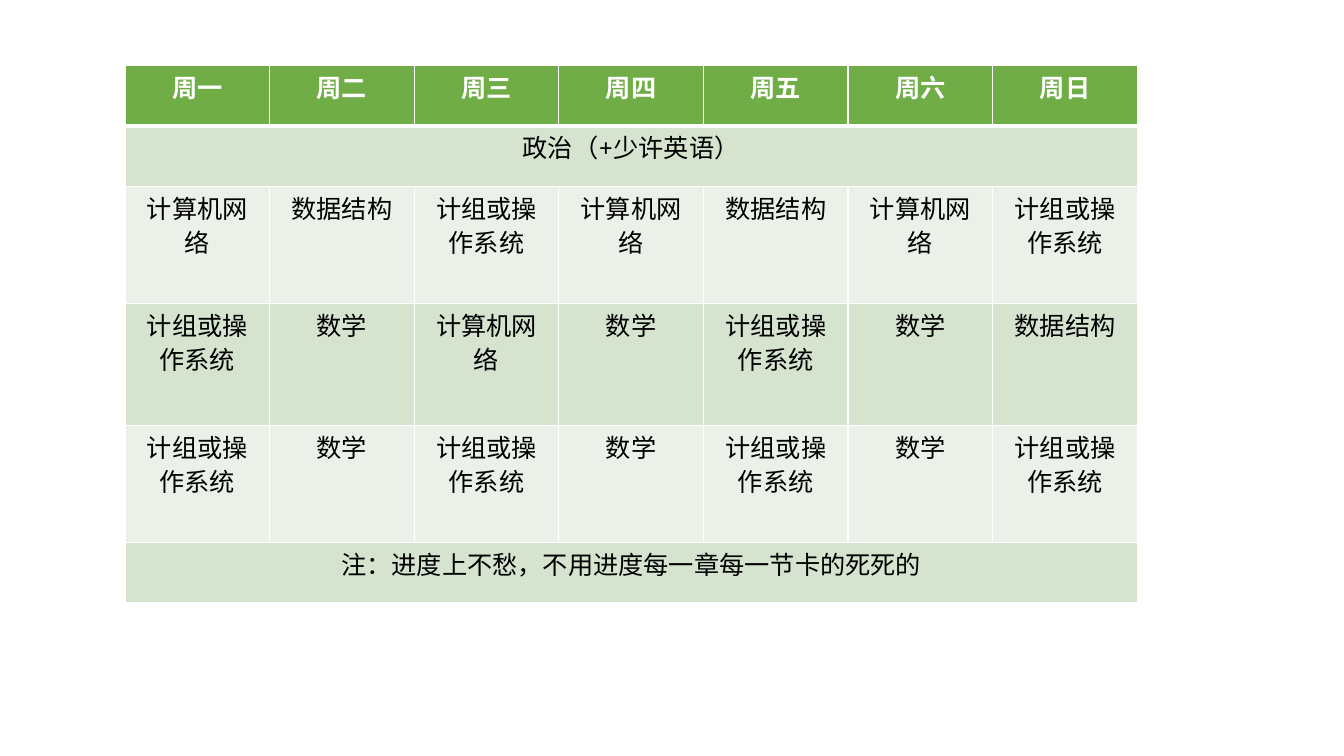
import lxml.etree
import pptx
import pptx.dml.color
import pptx.enum.text
import pptx.oxml.ns
import pptx.util

Inches = pptx.util.Inches

DAYS = ["周一", "周二", "周三", "周四", "周五", "周六", "周日"]
NETWORK, STRUCTURES, SYSTEMS, MATHS = "计算机网络", "数据结构", "计组或操作系统", "数学"
SCHEDULE = [
    DAYS,
    ["政治（+少许英语）"],
    [NETWORK, STRUCTURES, SYSTEMS, NETWORK, STRUCTURES, NETWORK, SYSTEMS],
    [SYSTEMS, MATHS, NETWORK, MATHS, SYSTEMS, MATHS, STRUCTURES],
    [SYSTEMS, MATHS] * 3 + [SYSTEMS],
    ["注：进度上不愁，不用进度每一章每一节卡的死死的"],
]
ROW_HEIGHTS = [0.6, 0.6, 1.16, 1.21, 1.16, 0.6]


def color(value):
    return pptx.dml.color.RGBColor.from_string(value)


class TimetableSlide:
    """Holds the timetable style and the slide being built."""

    font = "Noto Sans Mono"
    size = 18
    header_fill = "70AD47"
    band_fills = ["EBF1E9", "D5E3CF"]
    border_color = "FFFFFF"

    def __init__(self, deck):
        self.page = deck.slides.add_slide(deck.slide_layouts[6])

    def add_text(self, cell, text, text_color, bold):
        para = cell.text_frame.paragraphs[0]
        para.alignment = pptx.enum.text.PP_ALIGN.CENTER
        span = para.add_run()
        span.text = text
        span.font.name = self.font
        span.font.size = pptx.util.Pt(self.size)
        span.font.bold = bold
        span.font.color.rgb = color(text_color)
        east_asian = lxml.etree.SubElement(
            span.font._element, pptx.oxml.ns.qn("a:ea"))
        east_asian.set("typeface", self.font)

    def add_borders(self, cell, top, bottom):
        properties = cell._tc.get_or_add_tcPr()
        for side, width in zip("LRTB", (1, 1, top, bottom)):
            line = lxml.etree.SubElement(
                properties, pptx.oxml.ns.qn("a:ln" + side))
            line.set("w", str(pptx.util.Pt(width)))
            fill = lxml.etree.SubElement(line, pptx.oxml.ns.qn("a:solidFill"))
            shade = lxml.etree.SubElement(fill, pptx.oxml.ns.qn("a:srgbClr"))
            shade.set("val", self.border_color)

    def add_table(self, left, top, width, heights, rows):
        columns = len(rows[0])
        frame = self.page.shapes.add_table(
            len(rows), columns, Inches(left), Inches(top),
            Inches(width), Inches(sum(heights)))
        table = frame.table
        for column in table.columns:
            column.width = Inches(width / columns)
        for index, (height, texts) in enumerate(zip(heights, rows)):
            table.rows[index].height = Inches(height)
            header = index == 0
            for number in range(columns):
                cell = table.cell(index, number)
                self.add_borders(cell, 3 if index == 1 else 1, 3 if header else 1)
                cell.fill.solid()
                cell.fill.fore_color.rgb = color(
                    self.header_fill if header else self.band_fills[index % 2])
            if len(texts) == 1:
                table.cell(index, 0).merge(table.cell(index, columns - 1))
            for number, text in enumerate(texts):
                self.add_text(table.cell(index, number), text,
                              "FFFFFF" if header else "000000", header)


def main():
    deck = pptx.Presentation()
    deck.slide_width, deck.slide_height = Inches(13.33), Inches(7.5)
    timetable = TimetableSlide(deck)
    timetable.add_table(1.24, 0.65, 10.04, ROW_HEIGHTS, SCHEDULE)
    deck.save("out.pptx")


if __name__ == "__main__":
    main()
